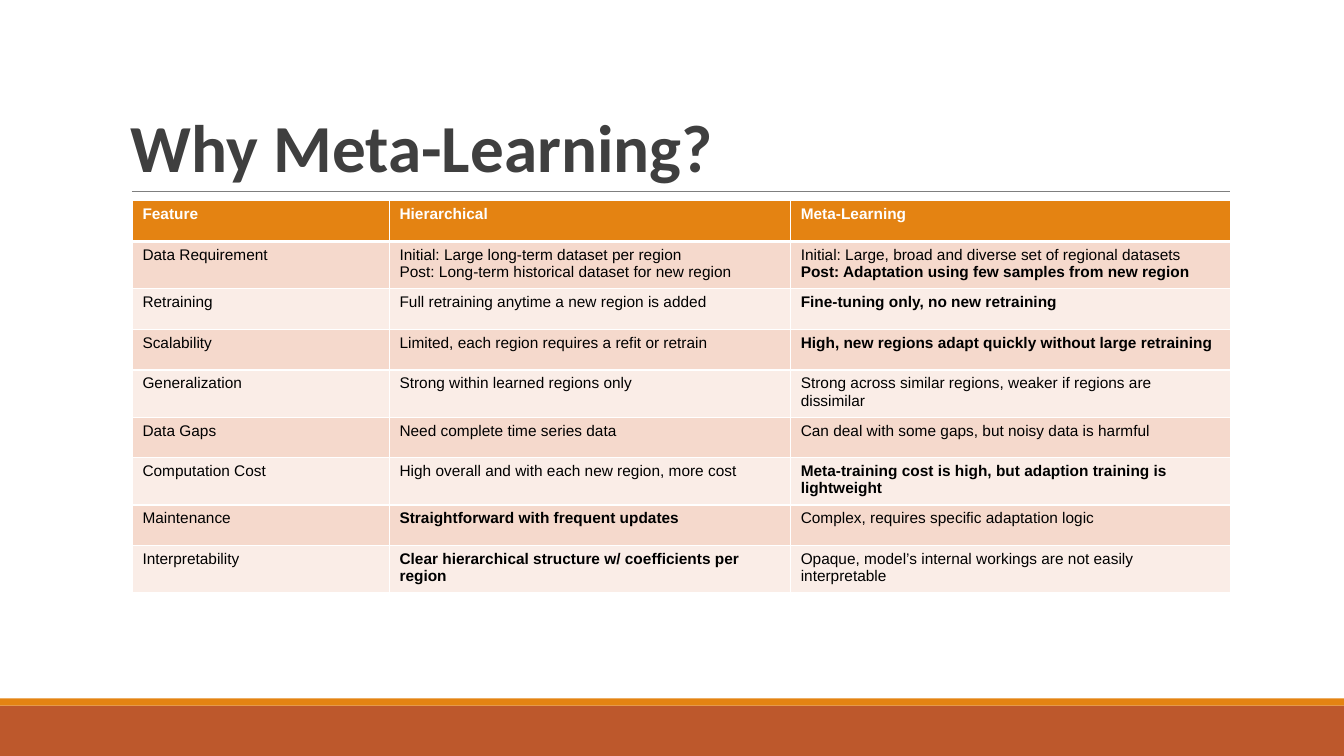
from lxml.etree import SubElement
from pptx import Presentation
from pptx.dml.color import RGBColor
from pptx.enum.shapes import MSO_CONNECTOR, MSO_SHAPE
from pptx.enum.text import MSO_ANCHOR
from pptx.oxml.ns import qn
from pptx.util import Pt

WIDTH, HEIGHT = 960, 540
ORANGE, RUST, WHITE = "E48312", "BD582C", "FFFFFF"
BANDS = ("F5D9CC", "FAEDE7")
COL_WIDTHS = (183.6, 286.6, 313.9)
ROW_HEIGHT = 29.1

# A leading * marks a bold paragraph; a line feed starts a new paragraph.
ROWS = [
    ("*Feature", "*Hierarchical", "*Meta-Learning"),
    ("Data Requirement",
     "Initial: Large long-term dataset per region\n"
     "Post: Long-term historical dataset for new region",
     "Initial: Large, broad and diverse set of regional datasets\n"
     "*Post: Adaptation using few samples from new region"),
    ("Retraining", "Full retraining anytime a new region is added",
     "*Fine-tuning only, no new retraining"),
    ("Scalability", "Limited, each region requires a refit or retrain",
     "*High, new regions adapt quickly without large retraining"),
    ("Generalization", "Strong within learned regions only",
     "Strong across similar regions, weaker if regions are dissimilar"),
    ("Data Gaps", "Need complete time series data",
     "Can deal with some gaps, but noisy data is harmful"),
    ("Computation Cost", "High overall and with each new region, more cost",
     "*Meta-training cost is high, but adaption training is lightweight"),
    ("Maintenance", "*Straightforward with frequent updates",
     "Complex, requires specific adaptation logic"),
    ("Interpretability",
     "*Clear hierarchical structure w/ coefficients per region",
     "Opaque, model’s internal workings are not easily interpretable"),
]


def rgb(value):
    return RGBColor.from_string(value)


def set_font(p, name, size, color, bold):
    p.font.name = name
    p.font.size = Pt(size)
    p.font.color.rgb = rgb(color)
    p.font.bold = bold


def add_band(s, top, height, color):
    sp = s.shapes.add_shape(MSO_SHAPE.RECTANGLE, 0, Pt(top), Pt(WIDTH), Pt(height))
    sp.shadow.inherit = False
    sp.fill.solid()
    sp.fill.fore_color.rgb = rgb(color)
    sp.line.fill.background()


def add_footer(s, top, stripe):
    """Draw a thin stripe and, below it, a band down to the slide's edge."""
    add_band(s, top + stripe, HEIGHT - top - stripe, RUST)
    add_band(s, top, stripe, ORANGE)


def add_title(s, text, left, top, width, height):
    """Place the title on the bottom of its box, with a rule beneath it."""
    inset, bottom = 7.9, top + height
    rule = s.shapes.add_connector(MSO_CONNECTOR.STRAIGHT, Pt(left + inset), Pt(bottom),
                                  Pt(left + width - 5), Pt(bottom))
    rule.line.color.rgb = rgb("7F7F7F")
    rule.line.width = Pt(0.75)
    SubElement(rule._element.spPr, qn("a:effectLst"))
    tf = s.shapes.add_textbox(Pt(left), Pt(top), Pt(width), Pt(height)).text_frame
    tf.word_wrap = True
    tf.vertical_anchor = MSO_ANCHOR.BOTTOM
    p = tf.paragraphs[0]
    p.text = text
    p.line_spacing = 0.85
    set_font(p, "Calibri", 48, "3F3F3F", True)


def set_borders(cell, widths):
    """Give the cell white borders; widths maps each side to points."""
    tc_pr = cell._tc.get_or_add_tcPr()
    for i, (side, width) in enumerate(widths.items()):
        ln = tc_pr.makeelement(qn(f"a:ln{side}"), {"w": str(Pt(width))})
        SubElement(SubElement(ln, qn("a:solidFill")), qn("a:srgbClr"), val=WHITE)
        tc_pr.insert(i, ln)


def fill_cell(cell, text, row):
    header = row == 0
    cell.fill.solid()
    cell.fill.fore_color.rgb = rgb(ORANGE if header else BANDS[(row - 1) % 2])
    set_borders(cell, {"L": 1, "R": 1, "T": 3 if row == 1 else 1, "B": 3 if header else 1})
    tf = cell.text_frame
    for i, line in enumerate(text.split("\n")):
        p = tf.add_paragraph() if i else tf.paragraphs[0]
        p.text = line.removeprefix("*")
        set_font(p, "Arial", 11, WHITE if header else "000000", line.startswith("*"))


def add_comparison(s, left, top):
    table = s.shapes.add_table(len(ROWS), len(COL_WIDTHS), Pt(left), Pt(top),
                               Pt(sum(COL_WIDTHS)), Pt(ROW_HEIGHT * len(ROWS))).table
    table.first_row = table.horz_banding = False
    for column, width in zip(table.columns, COL_WIDTHS):
        column.width = Pt(width)
    for r, texts in enumerate(ROWS):
        table.rows[r].height = Pt(ROW_HEIGHT)
        for c, text in enumerate(texts):
            fill_cell(table.cell(r, c), text, r)


def main():
    prs = Presentation()
    prs.slide_width, prs.slide_height = Pt(WIDTH), Pt(HEIGHT)
    s = prs.slides.add_slide(prs.slide_layouts[6])
    add_footer(s, 498.8, 5.2)
    add_title(s, "Why Meta-Learning?", 86.4, 22.4, 797, 114.2)
    add_comparison(s, 94.6, 143.4)
    prs.save("out.pptx")


if __name__ == "__main__":
    main()
